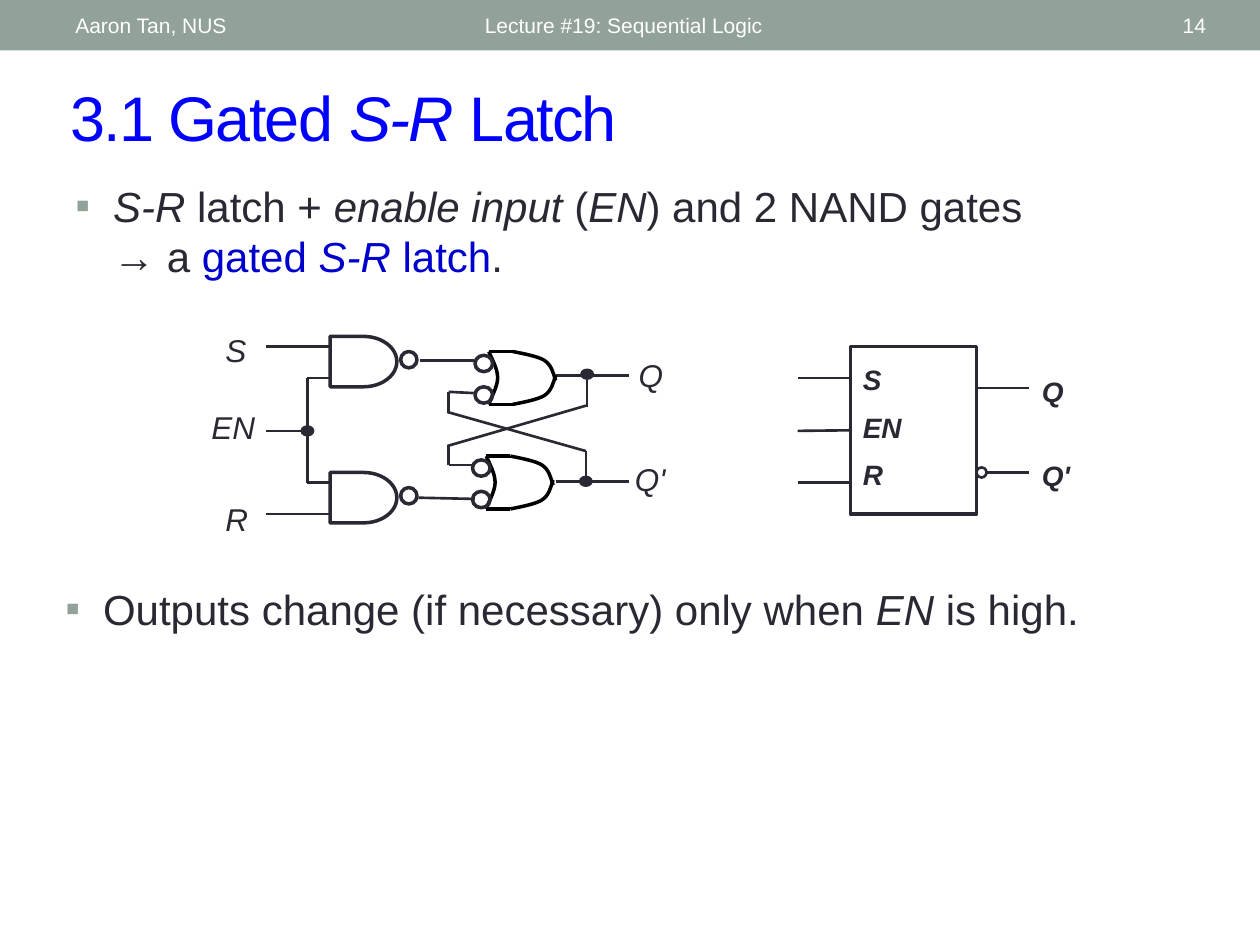
from typing import Any, NamedTuple

from lxml.etree import SubElement
from pptx import Presentation
from pptx.dml.color import RGBColor
from pptx.enum.shapes import MSO_CONNECTOR, MSO_SHAPE
from pptx.enum.text import MSO_ANCHOR, PP_ALIGN
from pptx.oxml.ns import qn
from pptx.util import Pt

PX = 9144
INK, BLACK, WHITE = "292934", "000000", "FFFFFF"
SAGE, BLUE, NAVY = "93A299", "0000FF", "0000CC"


class Box(NamedTuple):
    x: int
    y: int
    w: int
    h: int


class Run(NamedTuple):
    text: str
    italic: bool = False
    color: str = ""


class Wire(NamedTuple):
    x1: int
    y1: int
    x2: int
    y2: int


class Label(NamedTuple):
    text: str
    box: Box


class Style(NamedTuple):
    size: int
    color: str = INK
    bold: bool = False
    gap: int = 0
    align: Any = PP_ALIGN.LEFT
    anchor: Any = MSO_ANCHOR.TOP
    bullet: bool = False


def apply(target: Any, values: dict) -> None:
    for name, value in values.items():
        setattr(target, name, value)


def paint(color: Any, code: str) -> None:
    color.rgb = RGBColor.from_string(code)


def place(box: Box) -> list[int]:
    return [n * PX for n in box]


def mark(para: Any) -> None:
    props = para._p.get_or_add_pPr()
    props.set("marL", str(30 * PX))
    props.set("indent", str(-30 * PX))
    tint = SubElement(props, qn("a:buClr"))
    SubElement(tint, qn("a:srgbClr")).set("val", SAGE)
    SubElement(props, qn("a:buFont")).set("typeface", "Arial")
    SubElement(props, qn("a:buChar")).set("char", "▪")


def write(frame: Any, rows: list[list[Run]], style: Style) -> None:
    apply(frame, {"word_wrap": True, "vertical_anchor": style.anchor})
    for i, row in enumerate(rows):
        para = frame.add_paragraph() if i else frame.paragraphs[0]
        para.alignment = style.align
        if i:
            para.space_before = Pt(style.gap)
        if style.bullet:
            mark(para)
        for part in row:
            run = para.add_run()
            run.text = part.text
            apply(run.font, {"name": "Arial", "size": Pt(style.size),
                             "bold": style.bold, "italic": part.italic})
            paint(run.font.color, part.color or style.color)


def add_text(box: Box, rows: list[list[Run]], style: Style) -> None:
    write(shapes.add_textbox(*place(box)).text_frame, rows, style)


def add_shape(kind: Any, box: Box, width: float, fill: str = "") -> Any:
    shape = shapes.add_shape(kind, *place(box))
    shape.shadow.inherit = False
    if fill:
        shape.fill.solid()
        paint(shape.fill.fore_color, fill)
    else:
        shape.fill.background()
    if width:
        paint(shape.line.color, INK)
        shape.line.width = Pt(width)
    else:
        shape.line.fill.background()
    return shape


def add_wire(wire: Wire, width: float = 1.5, color: str = INK) -> Any:
    link = shapes.add_connector(MSO_CONNECTOR.STRAIGHT, *place(wire))
    paint(link.line.color, color)
    link.line.width = Pt(width)
    SubElement(link._element.spPr, qn("a:effectLst"))
    return link


def add_curve(x: int, y: int, knots: list[tuple[int, int]]) -> None:
    points = [(x + a, y + b) for a, b in knots]
    pen = shapes.build_freeform(*points[0], scale=PX)
    pen.add_line_segments(points[1:], close=False)
    curve = pen.convert_to_shape()
    steps = list(curve._element.iter(qn("a:lnTo")))
    for k in range(0, len(steps), 3):
        bend = SubElement(steps[k].getparent(), qn("a:cubicBezTo"))
        for step in steps[k:k + 3]:
            bend.append(step[0])
            step.getparent().remove(step)
    curve.shadow.inherit = False
    curve.fill.background()
    paint(curve.line.color, BLACK)
    curve.line.width = Pt(2)


def add_or(x: int, y: int) -> None:
    back = [(0, 0), (3, 7), (7, 14), (7, 21), (7, 28), (1, 38), (0, 42)]
    top = [(19, 0), (29, 2), (39, 4), (44, 7), (50, 11), (51, 17), (53, 23)]
    base = [(a, 42 - b) for a, b in top]
    for knots in (back, top, base):
        add_curve(x, y, knots)
    for edge in (y, y + 42):
        add_wire(Wire(x, edge, x + 19, edge), 2, BLACK)
    for drop in (3, 28):
        add_shape(MSO_SHAPE.OVAL, Box(x - 11, y + drop, 14, 13), 2)


def add_nand(x: int, y: int) -> None:
    add_shape(MSO_SHAPE.FLOWCHART_DELAY, Box(x, y, 53, 40), 2)
    add_shape(MSO_SHAPE.OVAL, Box(x + 56, y + 12, 13, 13), 2)


deck = Presentation()
apply(deck, {"slide_width": 1000 * PX, "slide_height": 750 * PX})
slide = deck.slides.add_slide(deck.slide_layouts[5])
shapes = slide.shapes

add_shape(MSO_SHAPE.RECTANGLE, Box(0, 0, 1000, 40), 0, SAGE)
title = shapes.title
apply(title, dict(zip(("left", "top", "width", "height"), place(Box(46, 57, 942, 70)))))
write(title.text_frame, [[Run("3.1 Gated "), Run("S-R", True), Run(" Latch")]],
      Style(36, BLUE, anchor=MSO_ANCHOR.MIDDLE))
for run in title.text_frame.paragraphs[0].runs:
    run.font._element.set("spc", "-100")

for text, x, w, align in (("Aaron Tan, NUS", 50, 317, PP_ALIGN.LEFT),
                          ("Lecture #19: Sequential Logic", 375, 450, PP_ALIGN.LEFT),
                          ("14", 872, 95, PP_ALIGN.RIGHT)):
    add_text(Box(x, 2, w, 36), [[Run(text)]],
             Style(12, WHITE, align=align, anchor=MSO_ANCHOR.MIDDLE))

body = Style(24, bullet=True)
add_text(Box(50, 138, 803, 104), [[
    Run("S-R", True), Run(" latch + "), Run("enable input", True), Run(" ("),
    Run("EN", True), Run(") and 2 NAND gates → a "), Run("gated ", color=NAVY),
    Run("S-R", True, NAVY), Run(" latch", color=NAVY), Run(".")]], body)
add_text(Box(42, 458, 900, 104), [[
    Run("Outputs change (if necessary) only when "), Run("EN", True),
    Run(" is high.")]], body)

wires = [
    Wire(333, 286, 376, 286), Wire(332, 395, 377, 396),
    Wire(356, 311, 376, 312), Wire(356, 369, 376, 369),
    Wire(356, 311, 356, 328), Wire(356, 353, 356, 369),
    Wire(441, 298, 499, 298), Wire(441, 382, 499, 382),
    Wire(465, 358, 465, 384), Wire(466, 299, 466, 323),
    Wire(355, 327, 465, 358), Wire(465, 322, 355, 354),
    Wire(211, 275, 263, 275), Wire(211, 408, 263, 408),
    Wire(244, 300, 263, 300), Wire(244, 383, 263, 383),
    Wire(244, 300, 244, 383), Wire(211, 342, 247, 342),
    Wire(633, 300, 675, 300), Wire(633, 383, 675, 383),
    Wire(775, 308, 817, 308), Wire(783, 375, 817, 375),
]
for wire in wires:
    add_wire(wire)
for x, y in ((388, 279), (386, 362)):
    add_or(x, y)
for y in (267, 375):
    add_nand(262, y)
for x, y in ((460, 378), (461, 293), (239, 338)):
    add_shape(MSO_SHAPE.OVAL, Box(x, y, 10, 8), 0.75, INK)

labels = [
    Label("S", Box(169, 258, 48, 40)), Label("R", Box(169, 392, 44, 40)),
    Label("Q", Box(497, 278, 46, 40)), Label("Q'", Box(494, 360, 46, 40)),
    Label("EN", Box(158, 319, 60, 40)),
]
for label in labels:
    add_text(label.box, [[Run(label.text, True)]], Style(18))

block = add_shape(MSO_SHAPE.RECTANGLE, Box(675, 275, 100, 133), 2)
add_wire(Wire(633, 342, 675, 342)).end_connect(block, 1)
add_shape(MSO_SHAPE.OVAL, Box(775, 371, 8, 8), 1.5)
for names, box, gap in ((("S", "EN", "R"), Box(675, 283, 58, 117), 8),
                        (("Q", "Q'"), Box(817, 292, 50, 106), 29)):
    add_text(box, [[Run(name, True)] for name in names], Style(16, bold=True, gap=gap))

deck.save("out.pptx")
